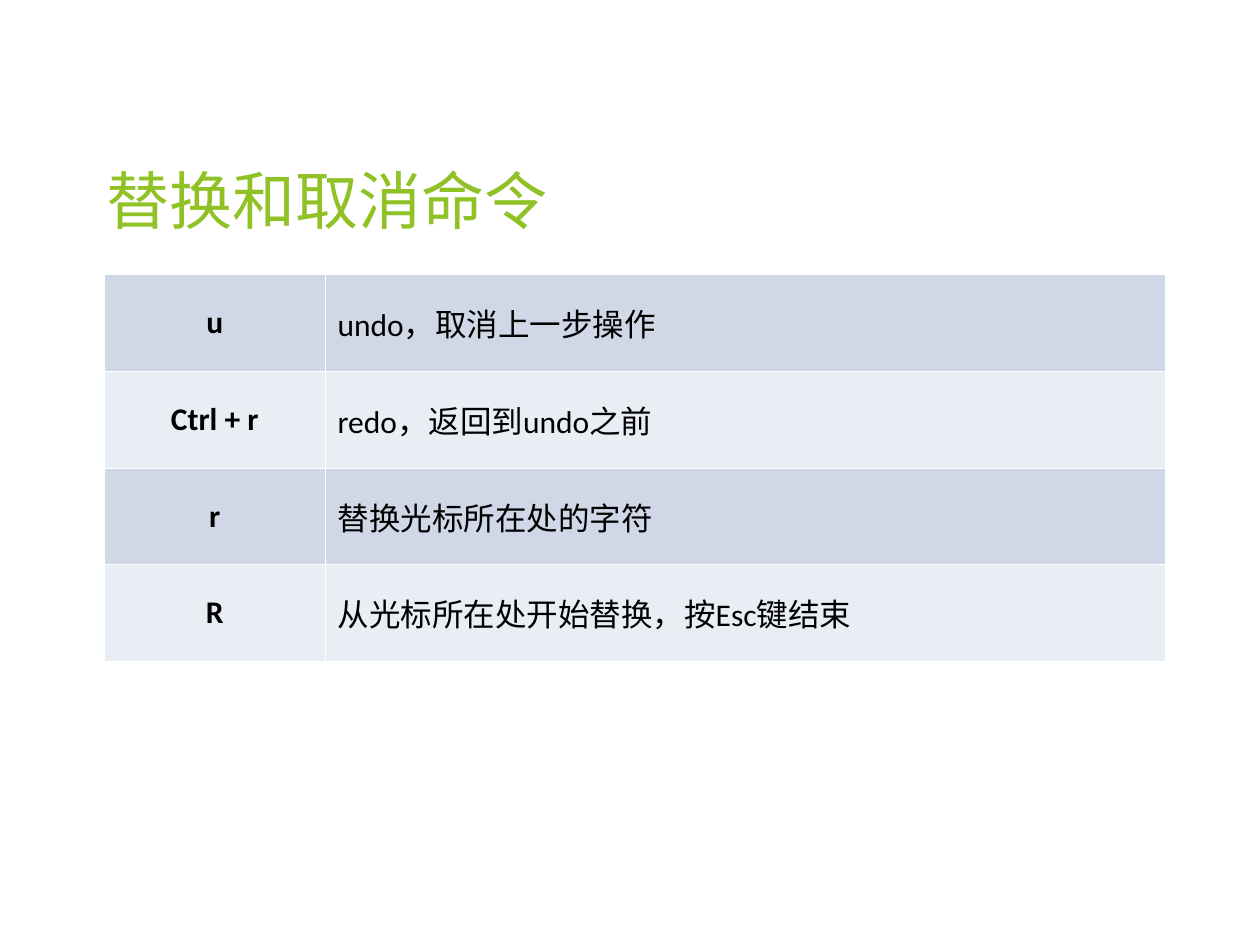
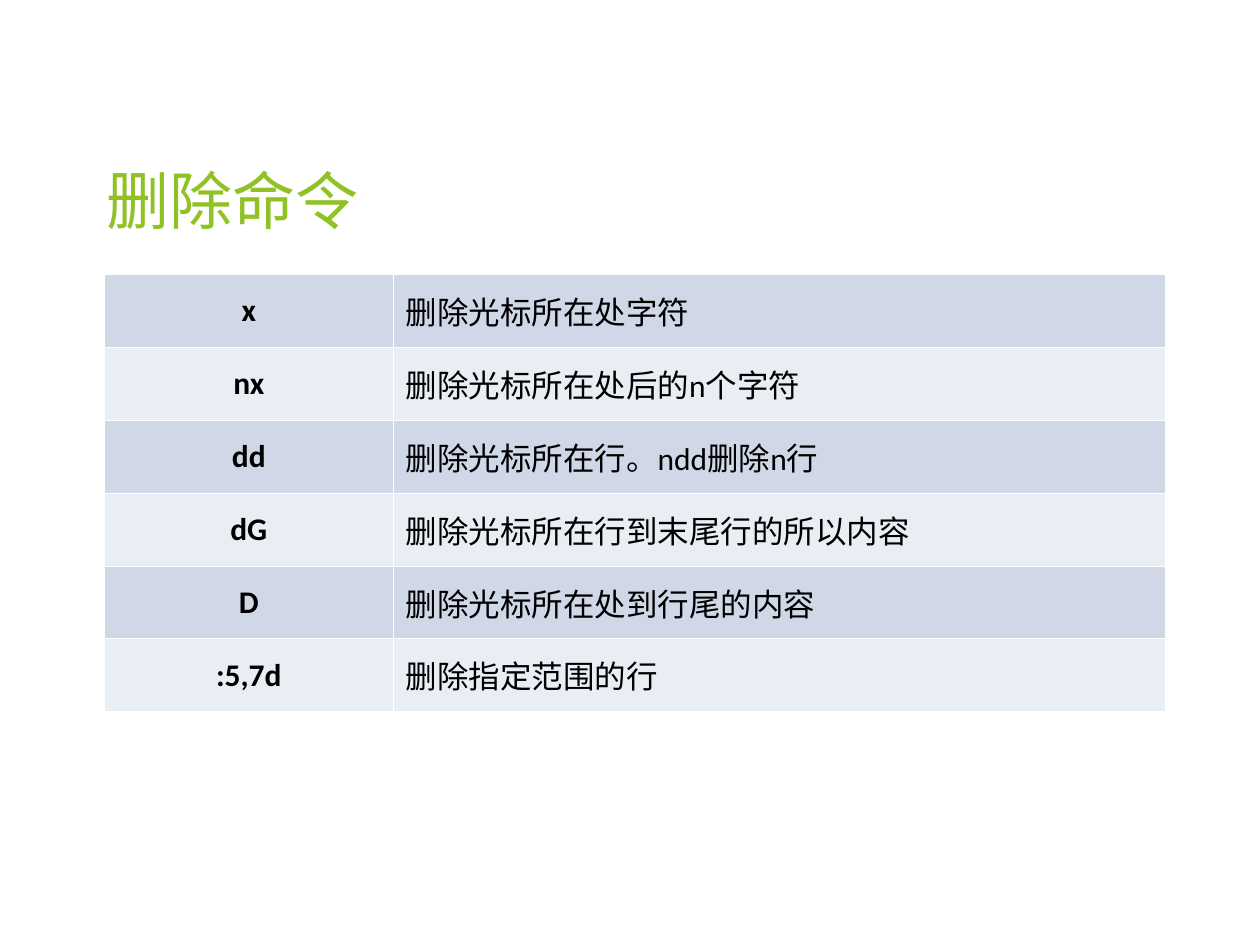
from lxml.etree import SubElement
from pptx import Presentation
from pptx.dml.color import RGBColor
from pptx.enum.text import MSO_ANCHOR, PP_ALIGN
from pptx.oxml.ns import qn
from pptx.util import Inches, Pt

TITLE_GREEN = "90C226"
BLACK = "000000"
RULE_WHITE = "FFFFFF"
BANDS = ("D0D8E8", "E9EDF4")
TITLE_BOX = (0.75, 0.36, 8.42, 1.57)
TABLE_LEFT, TABLE_TOP, TABLE_WIDTH = 0.83, 2.18, 8.42

COMMAND_SLIDES = [
    ("替换和取消命令", 3.07, 1.75, [
        ("u", "undo，取消上一步操作"),
        ("Ctrl + r", "redo，返回到undo之前"),
        ("r", "替换光标所在处的字符"),
        ("R", "从光标所在处开始替换，按Esc键结束"),
    ]),
    ("删除命令", 3.47, 2.29, [
        ("x", "删除光标所在处字符"),
        ("nx", "删除光标所在处后的n个字符"),
        ("dd", "删除光标所在行。ndd删除n行"),
        ("dG", "删除光标所在行到末尾行的所以内容"),
        ("D", "删除光标所在处到行尾的内容"),
        (":5,7d", "删除指定范围的行"),
    ]),
]


def color(hex_code):
    """Turn a hex string into a colour."""
    return RGBColor.from_string(hex_code)


def style_font(font, name, size, hex_code, bold=False):
    """Set the face, size, colour and weight of a font."""
    font.name = name
    font.size = Pt(size)
    font.bold = bold
    font.color.rgb = color(hex_code)


def add_title(slide, title, box):
    """Place the slide title at the bottom of its box."""
    frame = slide.shapes.add_textbox(*map(Inches, box)).text_frame
    frame.word_wrap = True
    frame.vertical_anchor = MSO_ANCHOR.BOTTOM
    heading = frame.paragraphs[0]
    heading.text = title
    style_font(heading.font, "Cabin", 36, TITLE_GREEN)


def rule_cell(cell):
    """Draw thin white rules on all four sides of a cell."""
    properties = cell._tc.get_or_add_tcPr()
    for side in ("a:lnL", "a:lnR", "a:lnT", "a:lnB"):
        rule = SubElement(properties, qn(side), w=str(Pt(0.45)))
        fill = SubElement(rule, qn("a:solidFill"))
        SubElement(fill, qn("a:srgbClr"), val=RULE_WHITE)


def fill_cell(cell, text, band, is_key):
    """Write one cell: bold and centred for a key, plain for its meaning."""
    rule_cell(cell)
    cell.fill.solid()
    cell.fill.fore_color.rgb = color(band)
    cell.vertical_anchor = MSO_ANCHOR.MIDDLE
    entry = cell.text_frame.paragraphs[0]
    entry.text = text
    entry.space_before = Pt(4.5)
    entry.alignment = PP_ALIGN.CENTER if is_key else PP_ALIGN.LEFT
    style_font(entry.font, "Calibri", 18, BLACK, is_key)


def add_command_table(slide, commands, box, key_width):
    """Place the banded table of keys and their meanings in its box."""
    left, top, width, height = box
    table = slide.shapes.add_table(len(commands), 2, *map(Inches, box)).table
    table.first_row = False
    table.horz_banding = False
    table.columns[0].width = Inches(key_width)
    table.columns[1].width = Inches(width - key_width)
    for row, command in enumerate(commands):
        table.rows[row].height = Inches(height / len(commands))
        for column, text in enumerate(command):
            band = BANDS[row % len(BANDS)]
            fill_cell(table.cell(row, column), text, band, column == 0)


def main():
    """Build the command slides and save them."""
    deck = Presentation()
    deck.slide_width, deck.slide_height = Inches(10), Inches(7.5)
    for title, table_height, key_width, commands in COMMAND_SLIDES:
        slide = deck.slides.add_slide(deck.slide_layouts[6])
        add_title(slide, title, TITLE_BOX)
        table_box = (TABLE_LEFT, TABLE_TOP, TABLE_WIDTH, table_height)
        add_command_table(slide, commands, table_box, key_width)
    deck.save("out.pptx")


if __name__ == "__main__":
    main()
